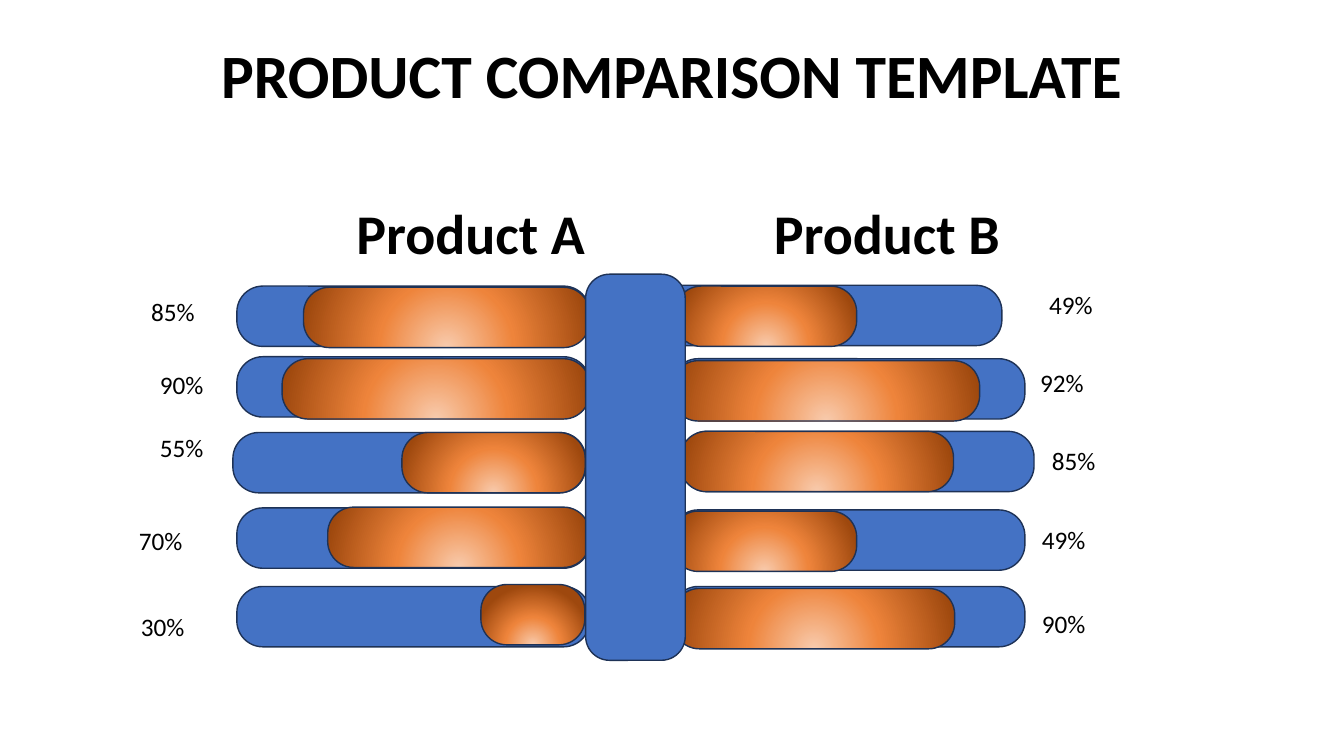
from lxml import etree
from pptx import Presentation
from pptx.dml.color import RGBColor
from pptx.enum import shapes, text
from pptx.oxml import parse_xml
from pptx.oxml.ns import qn
from pptx.util import Cm, Pt

TITLE = "PRODUCT COMPARISON TEMPLATE"
HEADS = [("Product A", 11.86), ("Product B", 22.35)]
# label, label x, label y, track x, track y, bar x, bar y, bar width
ROWS = [
    ("85%", 3.56, 7.34, 5.97, 7.21, 7.65, 7.24, 7.21),
    ("90%", 3.78, 9.19, 5.97, 8.99, 7.11, 9.04, 7.75),
    ("55%", 3.78, 10.77, 5.87, 10.9, 10.13, 10.9, 4.62),
    ("70%", 3.25, 13.12, 5.97, 12.8, 8.26, 12.78, 6.6),
    ("30%", 3.3, 15.28, 5.97, 14.78, 12.12, 14.73, 2.62),
    ("49%", 26.19, 7.16, 16.36, 7.19, 17.02, 7.21, 4.57),
    ("92%", 25.96, 9.14, 16.94, 9.04, 16.94, 9.09, 7.75),
    ("85%", 26.26, 11.09, 17.17, 10.87, 17.15, 10.87, 6.88),
    ("49%", 26.01, 13.09, 16.94, 12.85, 16.94, 12.88, 4.65),
    ("90%", 26.01, 15.21, 16.94, 14.78, 16.97, 14.83, 7.09),
]
HUB = (14.76, 6.91, 2.51, 9.73)
TRACK, THICK = 8.89, 1.52
HEX = {"text": "000000", "blue": "4472C4", "edge": "1E3256",
       "glow": "F8CBAD", "mid": "EE843B", "rust": "9E480E"}
STOPS = [(0, "glow"), (46, "mid"), (100, "rust")]


def color(name):
    return RGBColor.from_string(HEX[name])


def write(box, words, size, bold, align):
    frame = box.text_frame
    frame.text = words
    frame.word_wrap = True
    frame.vertical_anchor = text.MSO_ANCHOR.TOP
    para = frame.paragraphs[0]
    para.alignment = align
    para.line_spacing = 0.9 if bold else 1.0
    font = para.runs[0].font
    font.name, font.size, font.bold = "Calibri", Pt(size), bold
    font.color.rgb = color("text")


def label(slide, words, x, y, w, h, size, bold, align):
    box = slide.shapes.add_textbox(Cm(x), Cm(y), Cm(w), Cm(h))
    write(box, words, size, bold, align)


def glow(shape):
    shape.fill.gradient()
    grad = shape._element.spPr.find(qn("a:gradFill"))
    new = parse_xml(
        '<a:gradFill xmlns:a="http://schemas.openxmlformats.org/drawingml/2006/main"'
        ' rotWithShape="1"><a:gsLst/><a:path path="circle">'
        '<a:fillToRect l="50000" t="130000" r="50000" b="-30000"/>'
        '</a:path></a:gradFill>')
    for spot, name in STOPS:
        stop = etree.SubElement(new[0], qn("a:gs"), pos=str(spot * 1000))
        etree.SubElement(stop, qn("a:srgbClr"), val=HEX[name])
    grad.getparent().replace(grad, new)


def pill(slide, x, y, w, h, bend, lit=False):
    shape = slide.shapes.add_shape(
        shapes.MSO_SHAPE.ROUNDED_RECTANGLE, Cm(x), Cm(y), Cm(w), Cm(h))
    shape.adjustments[0] = bend
    shape.shadow.inherit = False
    shape.line.color.rgb = color("edge")
    shape.line.width = Pt(1)
    if lit:
        glow(shape)
    else:
        shape.fill.solid()
        shape.fill.fore_color.rgb = color("blue")


def main():
    deck = Presentation()
    deck.slide_width, deck.slide_height = Cm(33.87), Cm(19.05)
    slide = deck.slides.add_slide(deck.slide_layouts[5])
    title = slide.shapes.title
    title.left, title.top = Cm(2.33), Cm(1.02)
    title.width, title.height = Cm(29.21), Cm(3.68)
    mid, left = text.PP_ALIGN.CENTER, text.PP_ALIGN.LEFT
    write(title, TITLE, 44, True, mid)
    for words, center in HEADS:
        label(slide, words, center - 4, 5.08, 8, 1.8, 40, True, mid)
    for words, lx, ly, tx, ty, bx, by, wide in ROWS:
        pill(slide, tx, ty, TRACK, THICK, 0.43)
        pill(slide, bx, by, wide, THICK, 0.43, True)
        label(slide, words, lx, ly, 2.2, 1.02, 18, False, left)
    pill(slide, *HUB, 0.24)
    deck.save("out.pptx")


if __name__ == "__main__":
    main()
